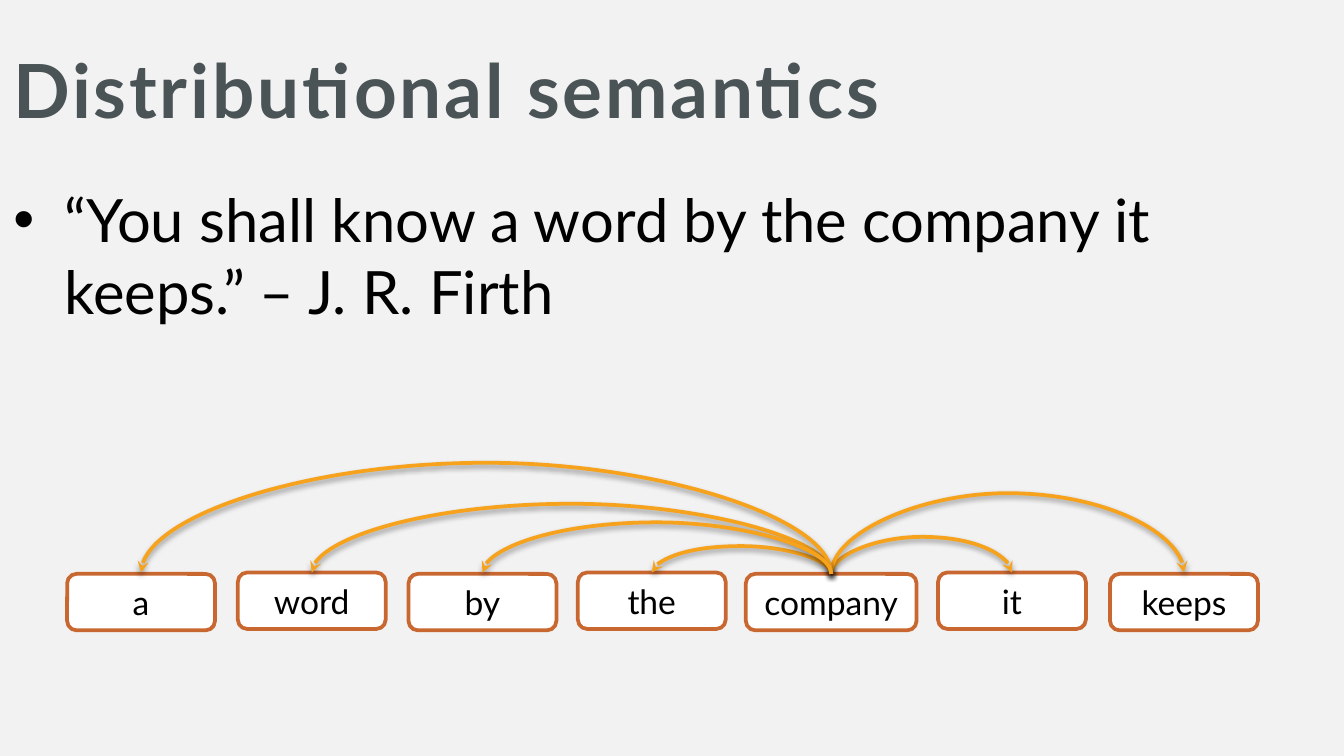
from dataclasses import dataclass

import pptx
import pptx.dml.color
import pptx.enum.shapes
import pptx.enum.text
import pptx.oxml
import pptx.oxml.ns
import pptx.util
from pptx.util import Inches


@dataclass(frozen=True)
class Theme:
    font: str = "Lato"
    background: str = "F2F2F2"
    heading: str = "4A5356"
    ink: str = "000000"
    box_fill: str = "FFFFFF"
    box_line: str = "C96731"
    arc: str = "F6A21D"
    title_size: int = 40
    quote_size: int = 32
    word_size: int = 18
    line_width: int = 2


@dataclass(frozen=True)
class Word:
    text: str
    left: float
    top: float
    width: float = 1.1

    @property
    def center(self) -> float:
        return self.left + self.width / 2


@dataclass(frozen=True)
class Arc:
    target: str
    rise: float


THEME = Theme()
BOX_HEIGHT = 0.42
ARC_DEPTH = 0.01
FOCUS = "company"
WORDS = [
    Word("a", 0.5, 4.27),
    Word("word", 1.77, 4.26),
    Word("by", 3.04, 4.27),
    Word("the", 4.3, 4.26),
    Word(FOCUS, 5.55, 4.27, 1.27),
    Word("it", 6.98, 4.26),
    Word("keeps", 8.26, 4.27),
]
ARCS = [
    Arc("it", 0.28),
    Arc("keeps", 0.61),
    Arc("the", 0.21),
    Arc("word", 0.53),
    Arc("a", 0.84),
    Arc("by", 0.39),
]


def rgb(value: str) -> pptx.dml.color.RGBColor:
    return pptx.dml.color.RGBColor.from_string(value)


def drawing_xml(tag: str, attributes: str, content: str = ""):
    return pptx.oxml.parse_xml(
        f'<a:{tag} {pptx.oxml.ns.nsdecls("a")} {attributes}>{content}</a:{tag}>'
    )


def write(frame, text: str, *, size: int, color: str, bold: bool = False,
          align=pptx.enum.text.PP_ALIGN.LEFT, anchor=pptx.enum.text.MSO_ANCHOR.TOP,
          line_spacing: float = 1.0, tracking: int = 0, bullet: str = "") -> None:
    frame.word_wrap = True
    frame.auto_size = pptx.enum.text.MSO_AUTO_SIZE.NONE
    frame.vertical_anchor = anchor
    paragraph = frame.paragraphs[0]
    if bullet:
        properties = paragraph._p.get_or_add_pPr()
        properties.set("marL", str(Inches(0.38)))
        properties.set("indent", str(Inches(-0.38)))
        properties.append(drawing_xml("buClr", "", f'<a:srgbClr val="{color}"/>'))
        properties.append(drawing_xml("buFont", 'typeface="Arial"'))
        properties.append(drawing_xml("buChar", f'char="{bullet}"'))
    paragraph.alignment = align
    paragraph.line_spacing = line_spacing
    paragraph.space_before = pptx.util.Pt(0)
    run = paragraph.add_run()
    run.text = text
    run.font.name = THEME.font
    run.font.size = pptx.util.Pt(size)
    run.font.bold = bold
    run.font.color.rgb = rgb(color)
    if tracking:
        run._r.get_or_add_rPr().set("spc", str(tracking))


def place(shape, left: float, top: float, width: float, height: float) -> None:
    shape.left, shape.top = Inches(left), Inches(top)
    shape.width, shape.height = Inches(width), Inches(height)


def draw_word(slide, word: Word):
    box = slide.shapes.add_shape(
        pptx.enum.shapes.MSO_SHAPE.ROUNDED_RECTANGLE,
        Inches(word.left), Inches(word.top), Inches(word.width), Inches(BOX_HEIGHT),
    )
    box.shadow.inherit = False
    box.fill.solid()
    box.fill.fore_color.rgb = rgb(THEME.box_fill)
    box.line.color.rgb = rgb(THEME.box_line)
    box.line.width = pptx.util.Pt(THEME.line_width)
    write(box.text_frame, word.text, size=THEME.word_size, color=THEME.ink,
          align=pptx.enum.text.PP_ALIGN.CENTER, anchor=pptx.enum.text.MSO_ANCHOR.MIDDLE)
    return box


def draw_arc(slide, focus: Word, target: Word, rise: float, boxes: dict) -> None:
    arc = slide.shapes.add_connector(
        pptx.enum.shapes.MSO_CONNECTOR.CURVE,
        Inches(focus.center), Inches(focus.top), Inches(target.center), Inches(target.top),
    )
    arc.begin_connect(boxes[focus.text], 0)
    arc.end_connect(boxes[target.text], 0)
    span = abs(target.center - focus.center)
    middle = (target.center + focus.center) / 2
    place(arc, middle - ARC_DEPTH / 2, focus.top - ARC_DEPTH / 2 - span / 2, ARC_DEPTH, span)

    leftward = target.center < focus.center
    properties = arc._element.spPr
    frame = properties.find(pptx.oxml.ns.qn("a:xfrm"))
    frame.set("rot", str((90 if leftward else 270) * 60000))
    frame.set("flipH", "1" if leftward else "0")
    frame.set("flipV", "0")
    adjustments = properties.find(".//" + pptx.oxml.ns.qn("a:avLst"))
    bend = round(rise / ARC_DEPTH * 100000)
    adjustments.append(drawing_xml("gd", f'name="adj1" fmla="val {bend}"'))

    arc.line.color.rgb = rgb(THEME.arc)
    arc.line.width = pptx.util.Pt(THEME.line_width)
    arc.line._get_or_add_ln().append(drawing_xml("tailEnd", 'type="stealth"'))
    properties.append(drawing_xml(
        "effectLst", "",
        f'<a:outerShdw blurRad="{pptx.util.Pt(3.1)}" dist="{pptx.util.Pt(1.6)}" '
        f'dir="5400000" rotWithShape="0"><a:srgbClr val="{THEME.ink}">'
        '<a:alpha val="38000"/></a:srgbClr></a:outerShdw>',
    ))


def main() -> None:
    deck = pptx.Presentation()
    deck.slide_width = Inches(10)
    deck.slide_height = deck.slide_width * 9 // 16
    slide = deck.slides.add_slide(deck.slide_layouts[1])
    slide.background.fill.solid()
    slide.background.fill.fore_color.rgb = rgb(THEME.background)

    title, quote = slide.placeholders
    place(title, 0, 0.23, 9, 0.94)
    write(title.text_frame, "Distributional semantics", size=THEME.title_size,
          color=THEME.heading, bold=True, anchor=pptx.enum.text.MSO_ANCHOR.MIDDLE,
          line_spacing=0.9, tracking=150)
    place(quote, 0, 1.31, 9, 4.1)
    write(quote.text_frame, "“You shall know a word by the company it keeps.” – J. R. Firth",
          size=THEME.quote_size, color=THEME.ink, bullet="•")

    words = {word.text: word for word in WORDS}
    boxes = {word.text: draw_word(slide, word) for word in WORDS}
    for arc in ARCS:
        draw_arc(slide, words[FOCUS], words[arc.target], arc.rise, boxes)

    deck.save("out.pptx")


if __name__ == "__main__":
    main()
